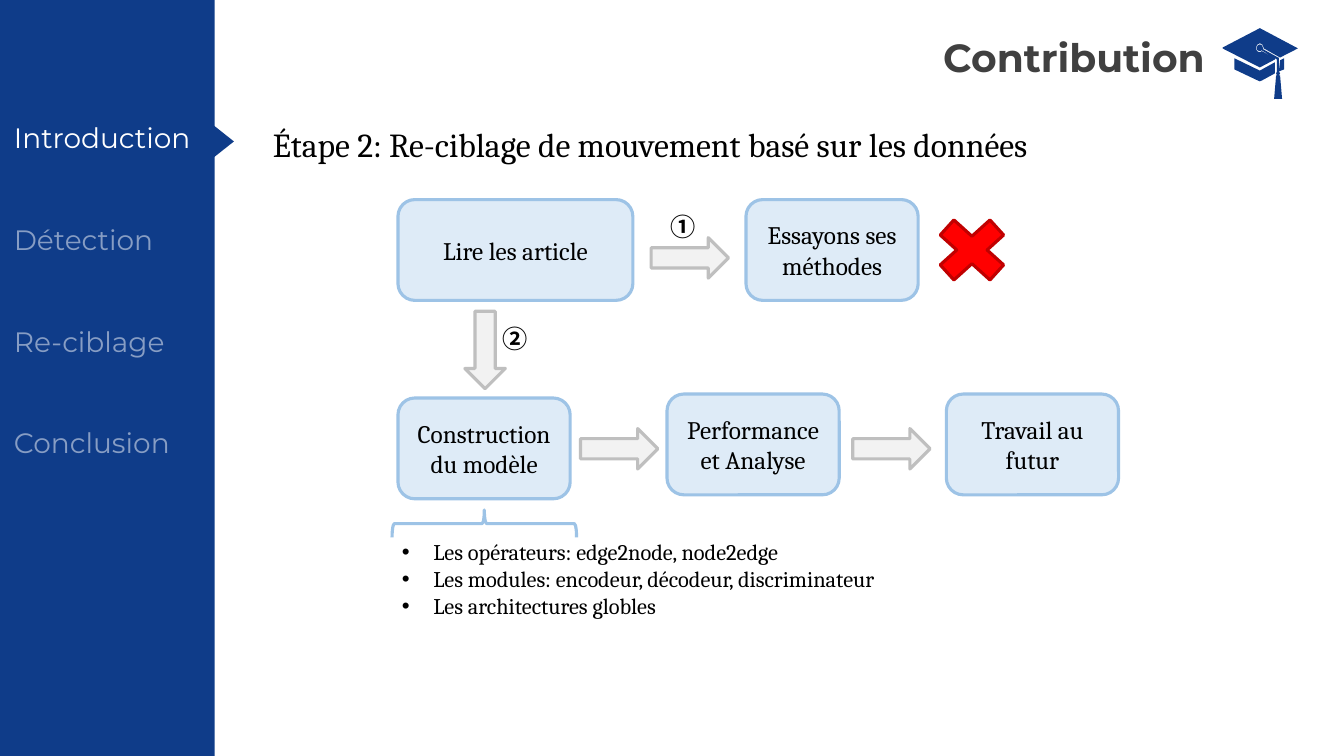
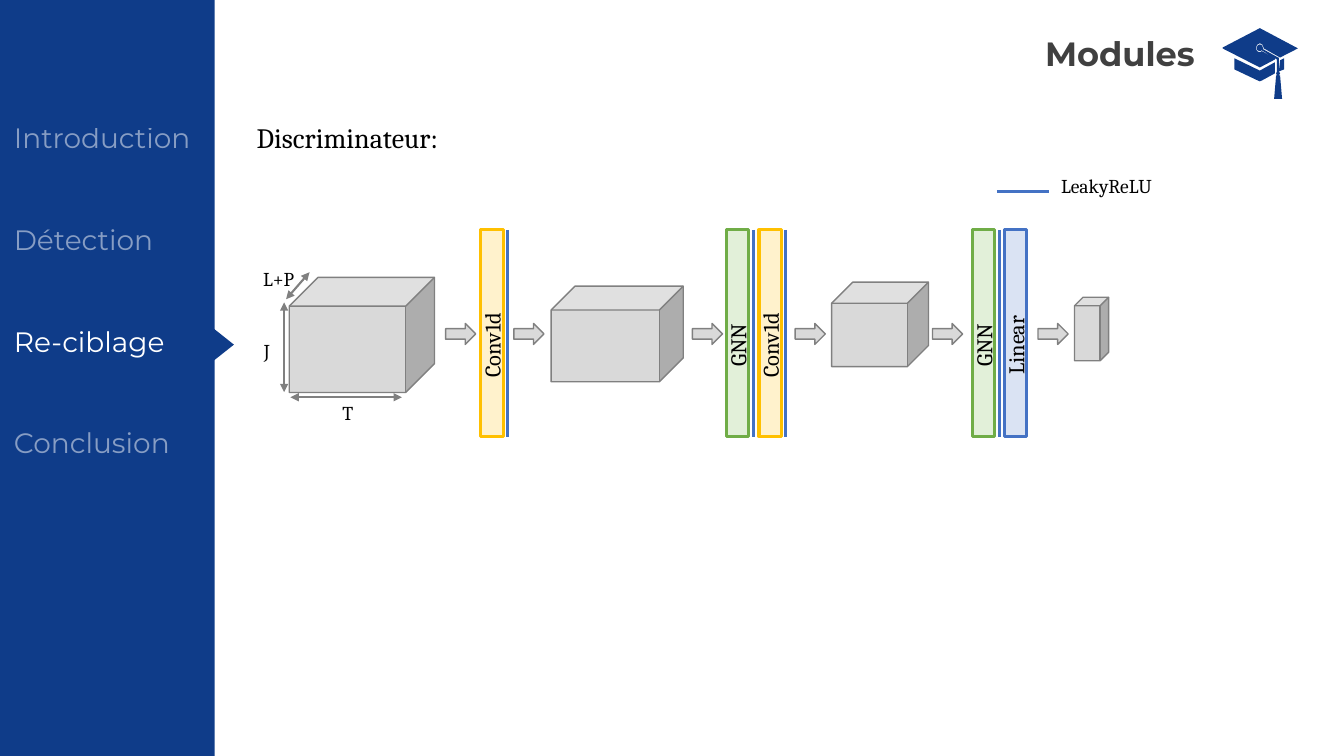
from lxml.etree import SubElement
from pptx import Presentation
from pptx.dml.color import RGBColor
from pptx.enum.shapes import MSO_CONNECTOR as Connector, MSO_SHAPE as Shape
from pptx.enum.text import MSO_ANCHOR as Anchor, PP_ALIGN as Align
from pptx.oxml.ns import qn
from pptx.util import Cm, Pt

NAVY, WHITE, BLACK, TITLE_GRAY = "0F3C89", "FFFFFF", "000000", "404040"
SKY, PALE_SKY = "9DC3E6", "DEEBF7"
SILVER, PALE_GRAY = "BFBFBF", "F2F2F2"
GRAY, LIGHT_GRAY = "808080", "D9D9D9"
BLUE, PALE_BLUE = "4472C4", "DAE3F3"
GOLD, PALE_GOLD = "FFC000", "FFF2CC"
GREEN, PALE_GREEN = "70AD47", "E2F0D9"
RED, DARK_RED = "FF0000", "C00000"

BODY, HEADING, SYMBOL = "Cambria", "Montserrat", "Noto Sans CJK SC"
SECTIONS = ["Introduction", "Détection", "Re-ciblage", "Conclusion"]
SECTION_TOP, SECTION_STEP = 2.92, 2.56
STRIP_TOP, STRIP_WIDTH, STRIP_HEIGHT = 5.79, 0.56, 5.21

CAP_UNIT = Cm(0.01)
CAP_OUTLINES = [
    [(142, 109), (155, 104), (155, 76), (145, 81)],
    [(30, 76), (30, 104), (89, 132), (94, 134), (99, 132), (132, 114),
     (132, 86), (94, 107)],
    [(142, 74), (140, 74), (102, 53), (102, 51), (100, 44), (94, 41),
     (88, 44), (86, 51), (88, 56), (94, 58), (99, 56), (137, 79)],
    [(190, 51), (94, 0), (0, 49), (0, 51), (94, 99), (132, 79), (132, 76),
     (99, 58), (94, 61), (87, 58), (84, 51), (87, 42), (94, 38), (101, 42),
     (104, 51), (145, 74)],
    [(142, 74), (142, 109), (145, 114), (142, 119), (145, 119), (150, 178),
     (130, 178), (135, 119), (137, 119), (135, 114), (137, 109), (137, 79)],
]


def color(hex_string):
    return RGBColor.from_string(hex_string)


def write_text(frame, text, size=18, font=BODY, fill=BLACK, bold=False,
               align=Align.LEFT, anchor=Anchor.TOP, opacity=100, bullet=False):
    frame.word_wrap = True
    frame.vertical_anchor = anchor
    for index, line in enumerate(text.split("\n")):
        para = frame.add_paragraph() if index else frame.paragraphs[0]
        para.alignment = align
        if bullet:
            add_bullet(para)
        span = para.add_run()
        span.text = line
        span.font.size = Pt(size)
        span.font.name = font
        span.font.bold = bold
        span.font.color.rgb = color(fill)
        properties = span.font._element
        SubElement(properties, qn("a:ea"), typeface=font)
        if opacity < 100:
            shade = properties.find(".//" + qn("a:srgbClr"))
            SubElement(shade, qn("a:alpha"), val=str(opacity * 1000))


def add_bullet(para):
    properties = para._p.get_or_add_pPr()
    indent = int(Cm(0.79))
    properties.set("marL", str(indent))
    properties.set("indent", str(-indent))
    SubElement(properties, qn("a:buFont"), typeface="Arial")
    SubElement(properties, qn("a:buChar"), char="•")


def add_label(page, text, left, top, width, height, rotation=0, **text_format):
    box = page.shapes.add_textbox(Cm(left), Cm(top), Cm(width), Cm(height))
    box.rotation = rotation
    write_text(box.text_frame, text, **text_format)


def paint(shape, fill, line, weight):
    shape.shadow.inherit = False
    if fill:
        shape.fill.solid()
        shape.fill.fore_color.rgb = color(fill)
    else:
        shape.fill.background()
    if line:
        shape.line.color.rgb = color(line)
        shape.line.width = Pt(weight)
    else:
        shape.line.fill.background()


def add_figure(page, kind, left, top, width, height, fill=None, line=None,
               weight=2.25, rotation=0):
    figure = page.shapes.add_shape(kind, Cm(left), Cm(top), Cm(width), Cm(height))
    figure.rotation = rotation
    paint(figure, fill, line, weight)
    return figure


def add_line(page, start, end, stroke=BLUE, weight=2.25, arrows=False):
    points = [Cm(value) for value in (*start, *end)]
    line = page.shapes.add_connector(Connector.STRAIGHT, *points)
    line.line.color.rgb = color(stroke)
    line.line.width = Pt(weight)
    if arrows:
        outline = line.line._get_or_add_ln()
        for side in ("a:headEnd", "a:tailEnd"):
            SubElement(outline, qn(side), type="triangle")
    SubElement(line._element.spPr, qn("a:effectLst"))


def add_cap(page):
    builder = page.shapes.build_freeform(*CAP_OUTLINES[0][0], scale=CAP_UNIT)
    for index, outline in enumerate(CAP_OUTLINES):
        if index:
            builder.move_to(*outline[0])
        builder.add_line_segments(outline[1:], close=True)
    cap = builder.convert_to_shape(Cm(30.81), Cm(0.71))
    paint(cap, NAVY, None, 0)


def add_page(deck, title, title_left, title_size, active):
    page = deck.slides.add_slide(deck.slide_layouts[6])
    add_cap(page)
    add_label(page, title, title_left, 0.71, 30.78 - title_left, 1.4,
              size=title_size, font=HEADING, fill=TITLE_GRAY, bold=True)
    add_figure(page, Shape.RECTANGLE, 0, 0, 5.41, 19.05, NAVY)
    for index, section in enumerate(SECTIONS):
        top = SECTION_TOP + index * SECTION_STEP
        current = section == active
        if current:
            add_figure(page, Shape.ISOSCELES_TRIANGLE, 5.21, top + 0.38,
                       0.84, 0.53, NAVY, rotation=90)
        add_label(page, section, 0.1, top, 5.4, 1.12, size=20, font=HEADING,
                  fill=WHITE, opacity=100 if current else 50)
    return page


def add_step(page, text, left, top, width=4.34):
    step = add_figure(page, Shape.ROUNDED_RECTANGLE, left, top, width, 2.54,
                      PALE_SKY, SKY)
    write_text(step.text_frame, text, align=Align.CENTER, anchor=Anchor.MIDDLE)


def add_strip(page, text, left, fill, line, activated=True):
    add_figure(page, Shape.RECTANGLE, left, STRIP_TOP, STRIP_WIDTH,
               STRIP_HEIGHT, fill, line)
    width, height, middle = 2.4, 0.94, 8.7
    add_label(page, text, left + (STRIP_WIDTH - width) / 2, middle - height / 2,
              width, height, rotation=270, size=16, align=Align.CENTER)
    if activated:
        x = left + 0.67
        add_line(page, (x, STRIP_TOP), (x, STRIP_TOP + STRIP_HEIGHT))


def build_contribution(deck):
    page = add_page(deck, "Contribution", 23.52, 28, "Introduction")
    add_label(page, "Étape 2: Re-ciblage de mouvement basé sur les données",
              6.63, 3, 21, 1.27, size=24)
    add_step(page, "Lire les article", 10.03, 5.03, 5.92)
    add_step(page, "Essayons ses méthodes", 18.8, 5.03)
    add_step(page, "Construction du modèle", 10.03, 10.03)
    add_step(page, "Performance et Analyse", 16.81, 9.93)
    add_step(page, "Travail au futur", 23.85, 9.93)
    for left, top, rotation in [(16.41, 5.99, 0), (11.25, 8.31, 90),
                                (14.63, 10.8, 0), (21.49, 10.8, 0)]:
        add_figure(page, Shape.RIGHT_ARROW, left, top, 1.95, 1.02,
                   PALE_GRAY, SILVER, rotation=rotation)
    add_figure(page, Shape.MATH_MULTIPLY, 23.29, 5.21, 2.41, 2.18, RED, DARK_RED)
    add_figure(page, Shape.LEFT_BRACE, 11.86, 10.87, 0.69, 4.65, line=SKY,
               rotation=90)
    for number, left, top in [("①", 16.64, 5.21), ("②", 12.42, 8.03)]:
        add_label(page, number, left, top, 1.19, 1.02, font=SYMBOL, bold=True)
    add_label(page, "Les opérateurs: edge2node, node2edge\n"
              "Les modules: encodeur, décodeur, discriminateur\n"
              "Les architectures globles",
              9.88, 13.44, 13.18, 2.31, size=16, bullet=True)


def build_modules(deck):
    page = add_page(deck, "Modules", 26.09, 24, "Re-ciblage")
    add_label(page, "Discriminateur:", 6.22, 2.92, 5.44, 1.12, size=20)
    add_line(page, (25.12, 4.83), (26.44, 4.83))
    add_label(page, "LeakyReLU", 26.49, 4.27, 2.92, 0.86, size=14)
    for left, top, width, height in [(7.29, 6.99, 3.66, 2.9),
                                     (13.89, 7.21, 3.33, 2.41),
                                     (20.96, 7.11, 2.44, 2.13),
                                     (27.08, 7.49, 0.86, 1.6)]:
        add_figure(page, Shape.CUBE, left, top, width, height,
                   LIGHT_GRAY, GRAY, 1)
    for left in (11.23, 12.95, 17.45, 20.04, 23.5, 26.16):
        add_figure(page, Shape.RIGHT_ARROW, left, 8.15, 0.76, 0.53,
                   LIGHT_GRAY, GRAY, 1)
    for start, end in [((7.8, 6.86), (7.21, 7.54)),
                       ((7.16, 7.62), (7.16, 9.88)),
                       ((7.32, 10.01), (10.13, 10.01))]:
        add_line(page, start, end, GRAY, 1.5, arrows=True)
    for text, left, top in [("L+P", 6.38, 6.6), ("J", 6.4, 8.41),
                            ("T", 8.38, 9.98)]:
        add_label(page, text, left, top, 1.5, 0.86, size=14)
    add_strip(page, "Conv1d", 12.12, PALE_GOLD, GOLD)
    add_strip(page, "GNN", 18.31, PALE_GREEN, GREEN)
    add_strip(page, "Conv1d", 19.13, PALE_GOLD, GOLD)
    add_strip(page, "GNN", 24.51, PALE_GREEN, GREEN)
    add_strip(page, "Linear", 25.32, PALE_BLUE, BLUE, activated=False)


def main():
    deck = Presentation()
    deck.slide_width, deck.slide_height = Cm(33.87), Cm(19.05)
    build_contribution(deck)
    build_modules(deck)
    deck.save("out.pptx")


if __name__ == "__main__":
    main()
